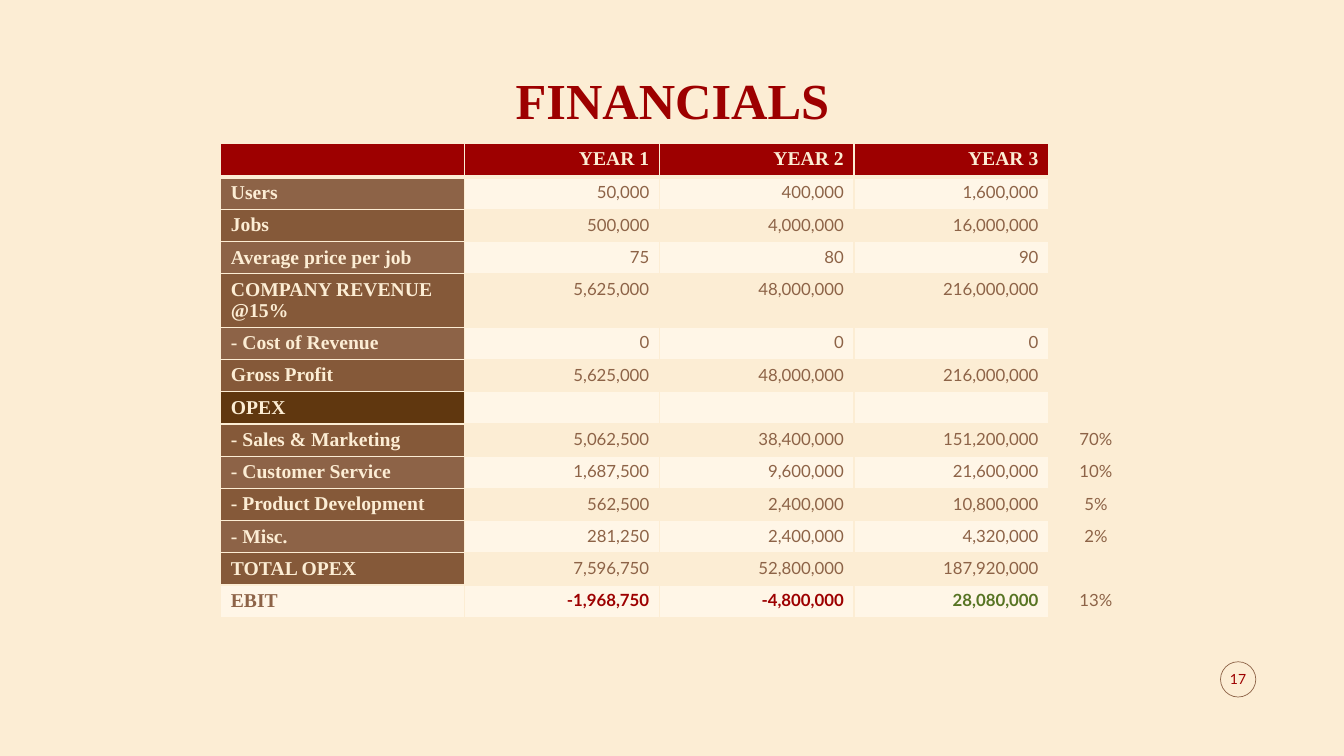
from lxml import etree
from pptx import Presentation
from pptx.dml.color import RGBColor
from pptx.enum.shapes import MSO_SHAPE
from pptx.enum.text import MSO_ANCHOR, PP_ALIGN
from pptx.oxml.ns import qn
from pptx.util import Inches, Pt

LEFT, CENTER, RIGHT = PP_ALIGN.LEFT, PP_ALIGN.CENTER, PP_ALIGN.RIGHT
MIDDLE, BOTTOM = MSO_ANCHOR.MIDDLE, MSO_ANCHOR.BOTTOM
OVAL = MSO_SHAPE.OVAL

CREAM = RGBColor(0xFC, 0xED, 0xD4)
PALE = RGBColor(0xFF, 0xF6, 0xE7)
RED = RGBColor(0x9D, 0x00, 0x00)
GREEN = RGBColor(0x57, 0x74, 0x23)
BROWN = RGBColor(0x8D, 0x63, 0x47)
MID_BROWN = RGBColor(0x85, 0x59, 0x39)
DARK_BROWN = RGBColor(0x60, 0x37, 0x0F)

SERIF, SANS = "Times New Roman", "Lato"
SLIDE_W, SLIDE_H = 13.33, 7.5
COL_WIDTHS = [2.42, 1.93, 1.93, 1.93, 0.94]
ROW_H, TALL_ROW_H = 0.32, 0.45

ROWS = [
    ("", "YEAR 1", "YEAR 2", "YEAR 3", ""),
    ("Users", "50,000", "400,000", "1,600,000", ""),
    ("Jobs", "500,000", "4,000,000", "16,000,000", ""),
    ("Average price per job", "75", "80", "90", ""),
    ("COMPANY REVENUE @15%", "5,625,000", "48,000,000", "216,000,000", ""),
    ("- Cost of Revenue", "0", "0", "0", ""),
    ("Gross Profit", "5,625,000", "48,000,000", "216,000,000", ""),
    ("OPEX", "", "", "", ""),
    ("- Sales & Marketing", "5,062,500", "38,400,000", "151,200,000", "70%"),
    ("- Customer Service", "1,687,500", "9,600,000", "21,600,000", "10%"),
    ("- Product Development", "562,500", "2,400,000", "10,800,000", "5%"),
    ("- Misc.", "281,250", "2,400,000", "4,320,000", "2%"),
    ("TOTAL OPEX", "7,596,750", "52,800,000", "187,920,000", ""),
    ("EBIT", "-1,968,750", "-4,800,000", "28,080,000", "13%"),
]


def put_text(tf, text, size=12, font=SANS, color=BROWN, bold=False, align=LEFT):
    p = tf.paragraphs[0]
    p.alignment = align
    if not text:
        etree.SubElement(p._p, qn("a:endParaRPr"), sz=str(size * 100))
        return p
    r = p.add_run()
    r.text = text
    r.font.size = Pt(size)
    r.font.name = font
    r.font.bold = bold
    r.font.color.rgb = color
    return p


def set_borders(cell, color, bottom=1):
    tcPr = cell._tc.get_or_add_tcPr()
    for side in "LRTB":
        width = bottom if side == "B" else 1
        ln = etree.SubElement(tcPr, qn(f"a:ln{side}"), w=str(Pt(width)))
        fill = etree.SubElement(ln, qn("a:solidFill"))
        etree.SubElement(fill, qn("a:srgbClr"), val=str(color))


def cell_fill(row, col):
    label, odd = ROWS[row][0], row % 2 == 1
    if col == len(COL_WIDTHS) - 1:
        return None
    if row == 0:
        return RED
    if col == 0 and label == "OPEX":
        return DARK_BROWN
    if col == 0 and label != "EBIT":
        return BROWN if odd else MID_BROWN
    return PALE if odd else None


def cell_format(row, col):
    label, text = ROWS[row][0], ROWS[row][col]
    if row == 0:
        return dict(size=14, font=SERIF, color=CREAM, bold=True, align=RIGHT)
    if col == 0:
        color = BROWN if label == "EBIT" else CREAM
        return dict(size=14, font=SERIF, color=color, bold=True)
    if col == len(COL_WIDTHS) - 1:
        return dict(align=CENTER)
    if label == "EBIT":
        color = RED if text.startswith("-") else GREEN
        return dict(color=color, bold=True, align=RIGHT)
    return dict(align=RIGHT)


def add_title(s, text, x, y, w, h):
    sp = s.shapes.title
    sp.left, sp.top, sp.width, sp.height = map(Inches, (x, y, w, h))
    sp.text_frame.vertical_anchor = BOTTOM
    p = put_text(sp.text_frame, text, size=36, font=SERIF, color=RED,
                 bold=True, align=CENTER)
    p.line_spacing = 0.9


def add_financials(s, x, y):
    heights = [TALL_ROW_H if "REVENUE" in row[0] else ROW_H for row in ROWS]
    table = s.shapes.add_table(
        len(ROWS), len(COL_WIDTHS), Inches(x), Inches(y),
        Inches(sum(COL_WIDTHS)), Inches(sum(heights))).table
    table.first_row = table.horz_banding = False
    for column, width in zip(table.columns, COL_WIDTHS):
        column.width = Inches(width)
    for i, (row, height) in enumerate(zip(ROWS, heights)):
        table.rows[i].height = Inches(height)
        for j, text in enumerate(row):
            cell = table.cell(i, j)
            put_text(cell.text_frame, text, **cell_format(i, j))
            set_borders(cell, CREAM, bottom=3 if i == 0 else 1)
            fill = cell_fill(i, j)
            if fill is None:
                cell.fill.background()
            else:
                cell.fill.solid()
                cell.fill.fore_color.rgb = fill


def add_page_number(s, text, x, y, size):
    inset = size / 16
    ring_size = Inches(size - 2 * inset)
    ring = s.shapes.add_shape(OVAL, Inches(x + inset), Inches(y + inset),
                              ring_size, ring_size)
    ring.shadow.inherit = False
    ring.fill.background()
    ring.line.color.rgb = BROWN
    ring.line.width = Pt(0.5)
    box = s.shapes.add_textbox(Inches(x), Inches(y), Inches(size), Inches(size))
    tf = box.text_frame
    tf.word_wrap = True
    tf.vertical_anchor = MIDDLE
    tf.margin_left = tf.margin_right = 0
    put_text(tf, text, size=10, color=RED, align=CENTER)


def main():
    prs = Presentation()
    prs.slide_width, prs.slide_height = Inches(SLIDE_W), Inches(SLIDE_H)
    s = prs.slides.add_slide(prs.slide_layouts[5])
    s.background.fill.solid()
    s.background.fill.fore_color.rgb = CREAM
    add_title(s, "FINANCIALS", 0.92, 0.57, 11.5, 0.77)
    add_financials(s, 2.19, 1.42)
    add_page_number(s, "17", 12.08, 6.54, 0.4)
    prs.save("out.pptx")


if __name__ == "__main__":
    main()
